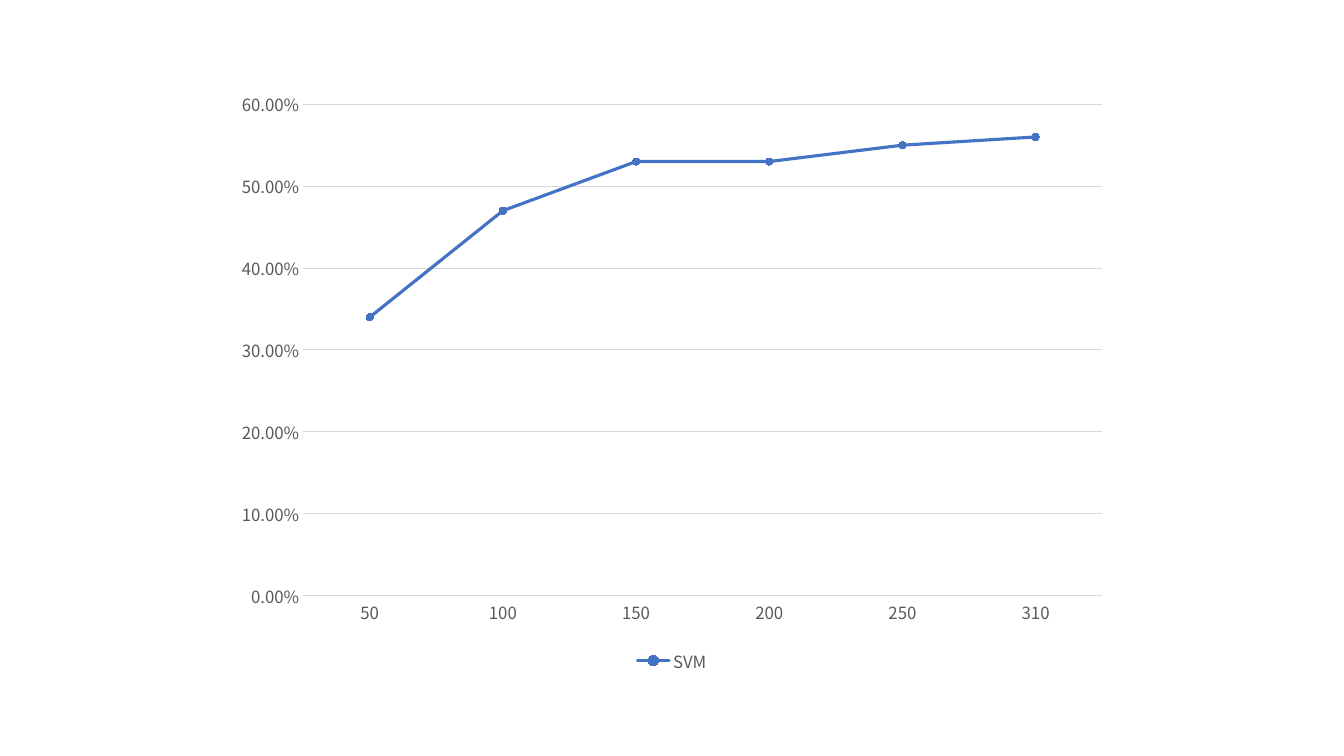
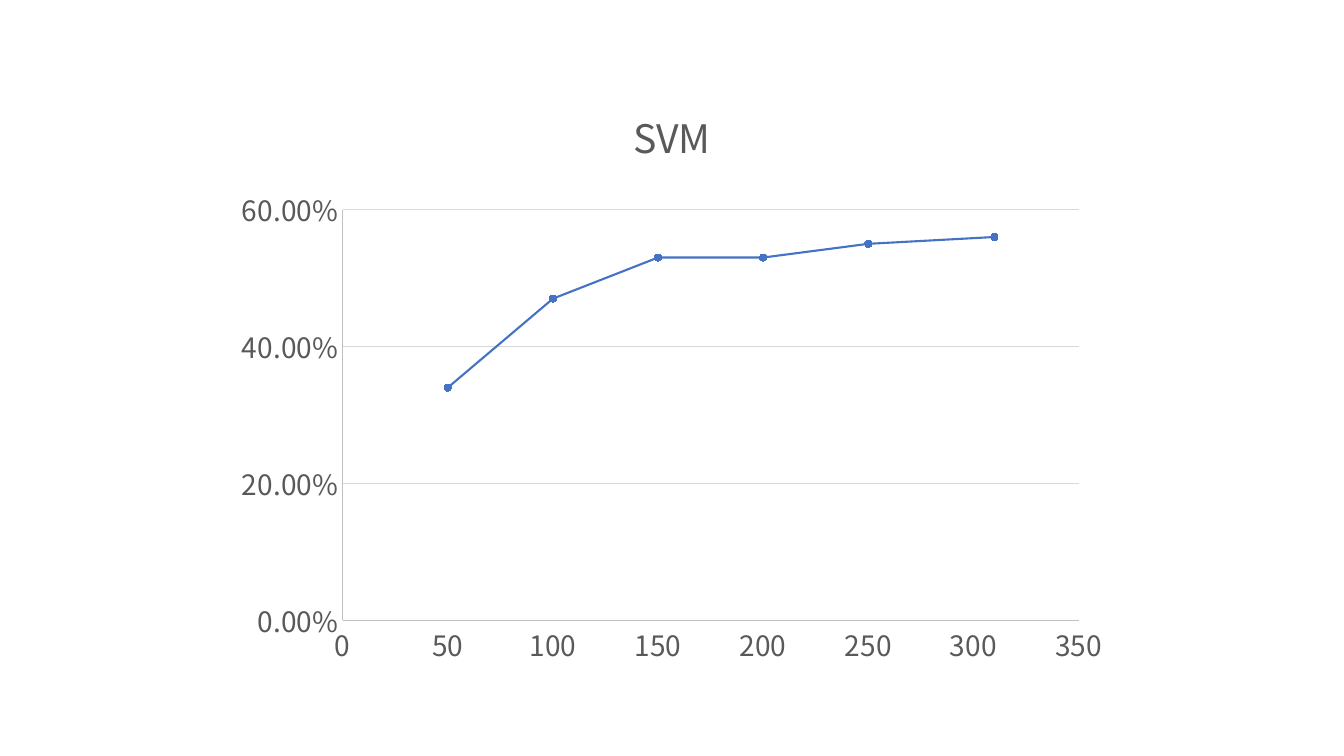
from pptx import Presentation
from pptx.chart import data
from pptx.dml.color import RGBColor
from pptx.enum import chart as kinds
from pptx.oxml import ns
from pptx.util import Inches, Pt

COLORS = {"text": "595959", "grid": "D9D9D9", "axis": "BFBFBF", "blue": "4472C4"}
FONT = "Noto Sans CJK SC"
NAME = "SVM"
SIZES = [50, 100, 150, 200, 250, 310]
SCORES = [0.34, 0.47, 0.53, 0.53, 0.55, 0.56]
RATE = "0.00%"


class Deck:
    """Holds the shared chart style and the current slide."""

    def __init__(self):
        """Start a wide presentation."""
        self.prs = Presentation()
        self.prs.slide_width = Inches(13.33)
        self.prs.slide_height = Inches(7.5)
        self.slide = None

    def add(self):
        """Begin a blank slide."""
        self.slide = self.prs.slides.add_slide(self.prs.slide_layouts[6])

    def font(self, font, size):
        """Apply the chart text style."""
        font.name = FONT
        font.size = Pt(size)
        font.bold = False
        font.color.rgb = RGBColor.from_string(COLORS["text"])

    def line(self, line, color, width=0.75):
        """Colour a line, or hide it when no colour is given."""
        if color is None:
            line.fill.background()
            return
        line.color.rgb = RGBColor.from_string(COLORS[color])
        line.width = Pt(width)

    def axis(self, axis, size, color, top=None, step=None, grid=False):
        """Style one axis, with a fixed scale where one is given."""
        axis.major_tick_mark = axis.minor_tick_mark = kinds.XL_TICK_MARK.NONE
        self.font(axis.tick_labels.font, size)
        self.line(axis.format.line, color)
        axis.has_major_gridlines = grid
        if grid:
            self.line(axis.major_gridlines.format.line, "grid")
            axis.tick_labels.number_format = RATE
            axis.tick_labels.number_format_is_linked = False
        if top:
            axis.minimum_scale, axis.maximum_scale = 0, top
            axis.major_unit = step

    def chart(self, kind, table, size, width):
        """Place a chart with one marked line, without title or legend."""
        chart = self.slide.shapes.add_chart(
            kind, Inches(2.22), Inches(0.79), Inches(8.89), Inches(5.93), table
        ).chart
        self.font(chart.font, size)
        chart.has_title = chart.has_legend = False
        chart.plots[0].vary_by_categories = False
        curve = chart.plots[0].series[0]
        curve.smooth = False
        self.line(curve.format.line, "blue", width)
        curve._element.spPr.find(ns.qn("a:ln")).set("cap", "rnd")
        mark = curve.marker
        mark.style, mark.size = kinds.XL_MARKER_STYLE.CIRCLE, 5
        mark.format.fill.solid()
        mark.format.fill.fore_color.rgb = RGBColor.from_string(COLORS["blue"])
        self.line(mark.format.line, "blue")
        return chart

    def legend(self, chart, size):
        """Show the legend below the plot."""
        chart.has_legend = True
        chart.legend.position = kinds.XL_LEGEND_POSITION.BOTTOM
        chart.legend.include_in_layout = False
        self.font(chart.legend.font, size)

    def title(self, chart, words, size):
        """Show a title above the plot."""
        chart.has_title = True
        chart.chart_title.include_in_layout = False
        par = chart.chart_title.text_frame.paragraphs[0]
        par.text = words
        self.font(par.font, size)


def trend(deck):
    """Build the line chart over evenly spaced sizes."""
    deck.add()
    table = data.CategoryChartData(number_format=RATE)
    table.categories = [str(size) for size in SIZES]
    table.add_series(NAME, SCORES)
    chart = deck.chart(kinds.XL_CHART_TYPE.LINE_MARKERS, table, 12, 2.25)
    deck.axis(chart.category_axis, 12, "grid")
    deck.axis(chart.value_axis, 12, None, 0.6, 0.1, grid=True)
    deck.legend(chart, 12)


def scatter(deck):
    """Build the scatter chart over sizes drawn to scale."""
    deck.add()
    table = data.XyChartData()
    curve = table.add_series(NAME)
    for size, score in zip(SIZES, SCORES):
        curve.add_data_point(size, score)
    chart = deck.chart(kinds.XL_CHART_TYPE.XY_SCATTER_LINES, table, 20, 1.5)
    deck.axis(chart.category_axis, 20, "axis", 350, 50)
    deck.axis(chart.value_axis, 20, "axis", 0.6, 0.2, grid=True)
    deck.title(chart, NAME, 28)


deck = Deck()
trend(deck)
scatter(deck)
deck.prs.save("out.pptx")
